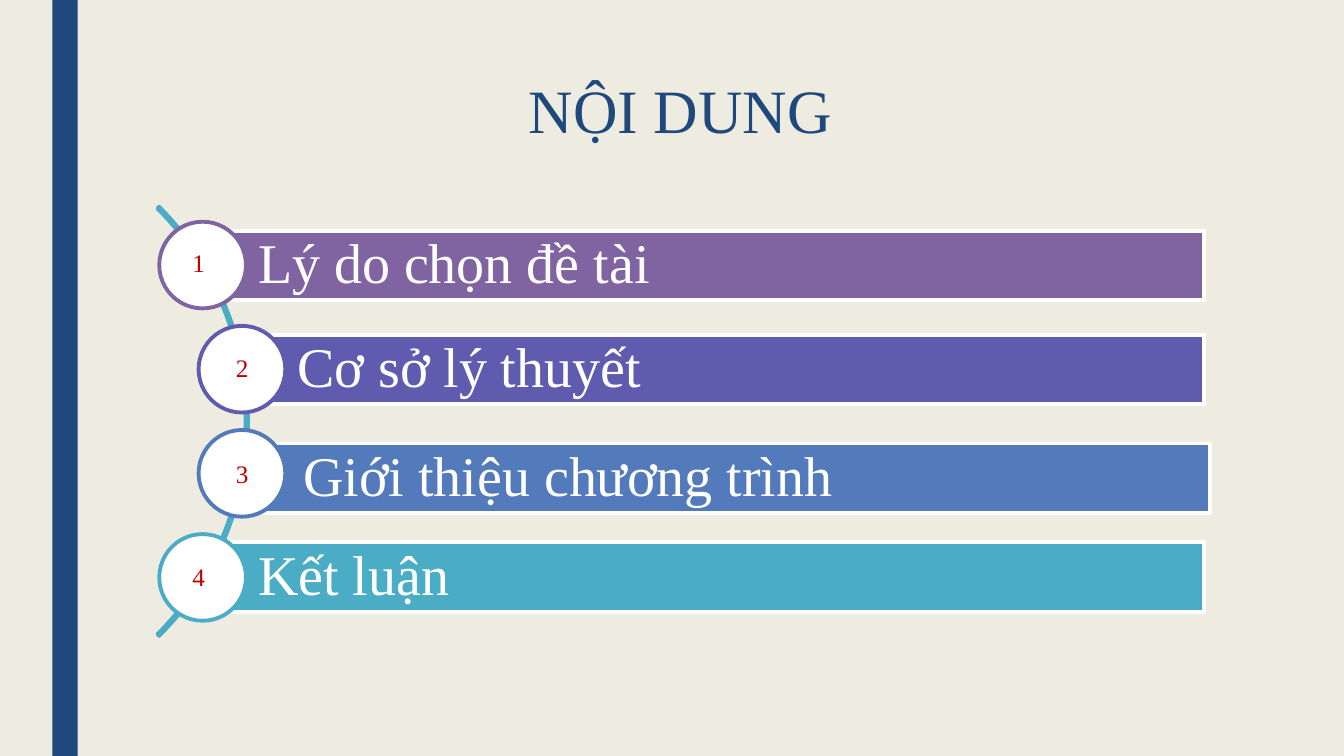
from pptx import Presentation
from pptx.dml.color import RGBColor
from pptx.enum.shapes import MSO_SHAPE as Shape
from pptx.enum.text import MSO_ANCHOR as Anchor, PP_ALIGN as Align
from pptx.util import Inches, Pt

FONT = "Times New Roman"
NAVY, TEAL, WHITE, RED, CREAM = "1F497D", "4BACC6", "FFFFFF", "C00000", "EEECE1"
BAR_HEIGHT, CIRCLE_SIZE = 0.69, 0.86
FIRST_CIRCLE_TOP, CIRCLE_STEP = 2.2, 1.033

# topic, colour, circle left, bar (left, top, width), number (left, top)
TOPICS = [
    ("Lý do chọn đề tài", "8064A2", 1.58, (2.01, 2.29, 9.93), (1.81, 2.4)),
    ("Cơ sở lý thuyết", "5F5BAE", 1.97, (2.4, 3.32, 9.54), (2.24, 3.45)),
    ("Giới thiệu chương trình", "537ABA", 1.97, (2.46, 4.4, 9.54), (2.24, 4.5)),
    ("Kết luận", TEAL, 1.58, (2.01, 5.38, 9.93), (1.81, 5.52)),
]


def rgb(value):
    return RGBColor.from_string(value)


def add_figure(slide, preset, box, fill=None, line=None):
    figure = slide.shapes.add_shape(preset, *map(Inches, box))
    figure.shadow.inherit = False
    if fill:
        figure.fill.solid()
        figure.fill.fore_color.rgb = rgb(fill)
    else:
        figure.fill.background()
    if line:
        figure.line.color.rgb = rgb(line)
        figure.line.width = Pt(2.75)
    else:
        figure.line.fill.background()
    return figure


def write(figure, text, size, color, align=Align.LEFT, spacing=None):
    frame = figure.text_frame
    frame.text = text
    frame.word_wrap = True
    paragraph = frame.paragraphs[0]
    paragraph.alignment = align
    paragraph.line_spacing = spacing
    font = paragraph.runs[0].font
    font.name, font.size, font.color.rgb = FONT, Pt(size), rgb(color)
    return frame


def add_label(slide, box, text, size, color, **layout):
    label = slide.shapes.add_textbox(*map(Inches, box))
    write(label, text, size, color, **layout)


def add_bar(slide, place, topic, color):
    bar = add_figure(slide, Shape.RECTANGLE, (*place, BAR_HEIGHT), color, WHITE)
    frame = write(bar, topic, 40, WHITE, spacing=0.9)
    frame.vertical_anchor = Anchor.MIDDLE
    frame.margin_left = Inches(0.55)
    frame.margin_top = frame.margin_right = frame.margin_bottom = Inches(0.11)


def add_arc(slide):
    arc = add_figure(slide, Shape.BLOCK_ARC, (-3.56, 1.17, 6.02, 6.02), line=TEAL)
    # Start and end angles (315° and 45°), then the thickness
    for index, value in enumerate((189, 27, 0.004)):
        arc.adjustments[index] = value


def main():
    deck = Presentation()
    deck.slide_width, deck.slide_height = Inches(13.33), Inches(7.5)
    slide = deck.slides.add_slide(deck.slide_layouts[6])

    # Background, side stripe and title
    slide.background.fill.solid()
    slide.background.fill.fore_color.rgb = rgb(CREAM)
    add_figure(slide, Shape.RECTANGLE, (0.52, 0, 0.25, 7.5), NAVY)
    add_label(slide, (1.5, 0.75, 10.5, 1.62), "NỘI DUNG", 44, NAVY,
              align=Align.CENTER, spacing=0.89)

    # Curved agenda list
    add_arc(slide)
    for index, (topic, color, circle_left, bar_place, number_place) in enumerate(TOPICS):
        add_bar(slide, bar_place, topic, color)
        circle_top = FIRST_CIRCLE_TOP + index * CIRCLE_STEP
        add_figure(slide, Shape.OVAL,
                   (circle_left, circle_top, CIRCLE_SIZE, CIRCLE_SIZE), WHITE, color)
        add_label(slide, (*number_place, 0.42, 0.4), str(index + 1), 18, RED)

    deck.save("out.pptx")


if __name__ == "__main__":
    main()
